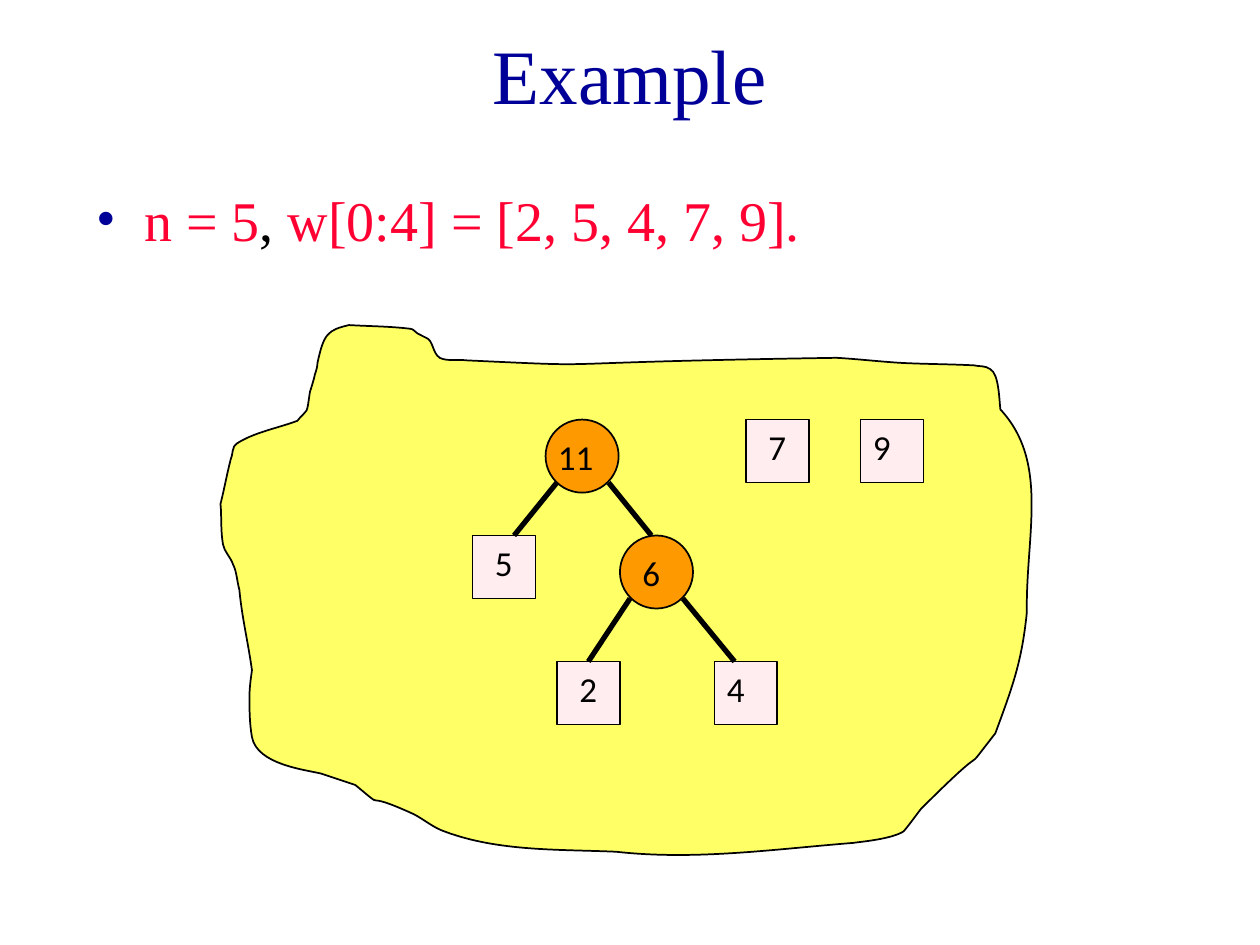
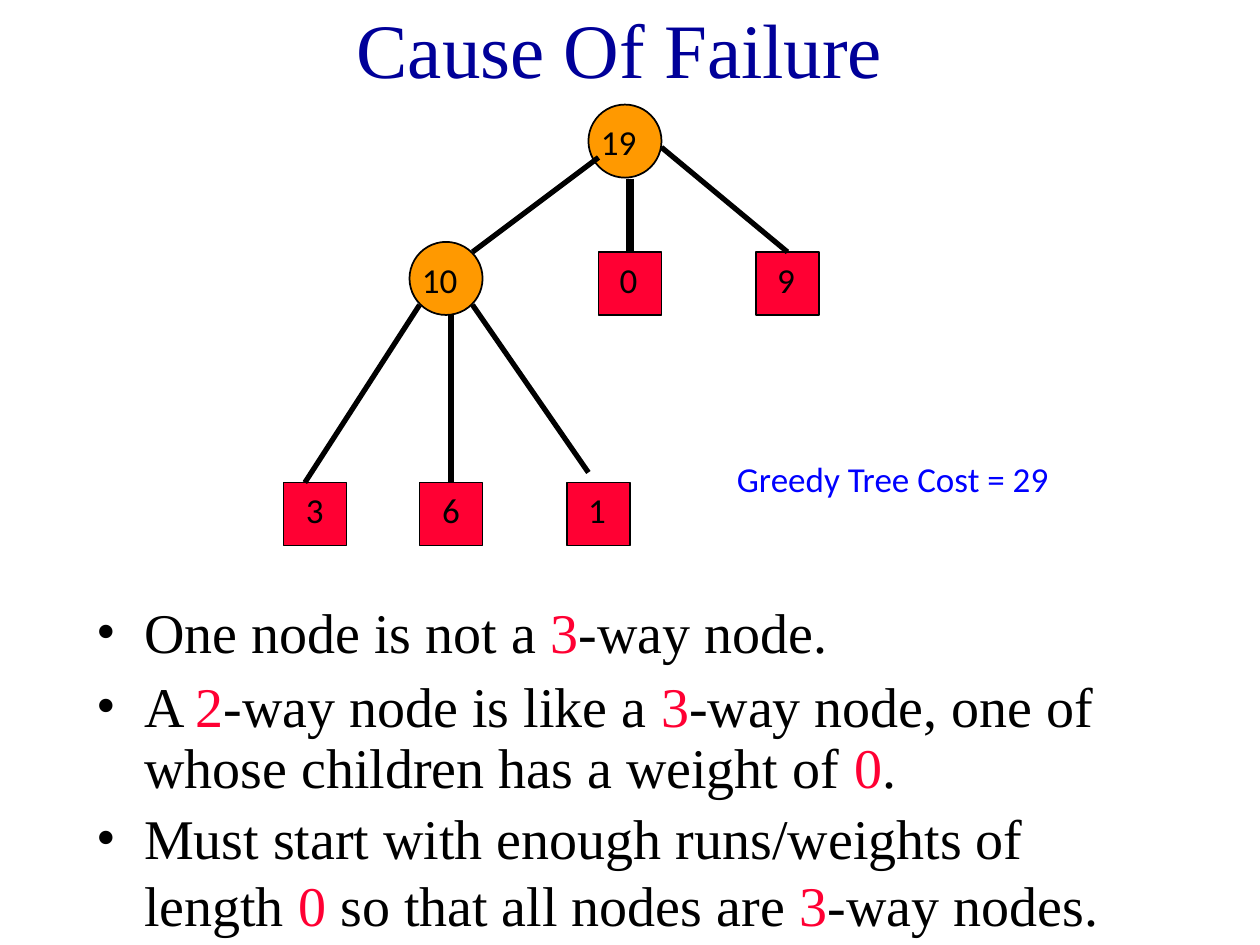
from lxml import etree
from pptx import Presentation
from pptx.dml.color import RGBColor
from pptx.enum.shapes import MSO_CONNECTOR, MSO_SHAPE
from pptx.enum.text import MSO_ANCHOR, PP_ALIGN
from pptx.oxml.ns import qn
from pptx.util import Inches, Pt

RECTANGLE, ELLIPSE = MSO_SHAPE.RECTANGLE, MSO_SHAPE.OVAL
STRAIGHT = MSO_CONNECTOR.STRAIGHT
TOP, MIDDLE = MSO_ANCHOR.TOP, MSO_ANCHOR.MIDDLE
LEFT, CENTER = PP_ALIGN.LEFT, PP_ALIGN.CENTER
TOP_SITE = 0

NAVY = RGBColor(0x00, 0x00, 0x99)
BLUE = RGBColor(0x00, 0x00, 0xFF)
RED = RGBColor(0xFF, 0x00, 0x33)
BLACK = RGBColor(0x00, 0x00, 0x00)
YELLOW = RGBColor(0xFF, 0xFF, 0x66)
PINK = RGBColor(0xFF, 0xED, 0xF0)
ORANGE = RGBColor(0xFF, 0x99, 0x00)

TITLE_FONT = {"name": "Times New Roman", "size": Pt(44)}
BULLET_FONT = {"name": "Times New Roman", "size": Pt(32)}
LABEL_FONT = {"name": "Calibri", "size": Pt(20)}

BULLET_INDENT = Pt(27)
LEAF_SIZE, NODE_SIZE = 0.5, 0.58
LABEL_HEIGHT = 0.44

# Outline of the cloud: a start point, then Bezier curves (two controls, end)
CLOUD_START = (2.36, 3.34)
CLOUD_CURVES = [
    (2.2, 3.4, 2.02, 3.43, 1.88, 3.52), (1.84, 3.54, 1.85, 3.61, 1.83, 3.65),
    (1.8, 3.77, 1.78, 3.88, 1.75, 4), (1.76, 4.1, 1.75, 4.21, 1.77, 4.32),
    (1.78, 4.38, 1.83, 4.42, 1.85, 4.48), (1.88, 4.54, 1.88, 4.61, 1.9, 4.68),
    (1.92, 4.9, 1.97, 5.1, 2, 5.32), (1.99, 5.39, 1.98, 5.46, 1.98, 5.53),
    (1.98, 5.63, 1.98, 5.74, 2, 5.85), (2.04, 6.07, 2.43, 6.11, 2.55, 6.14),
    (2.64, 6.17, 2.73, 6.2, 2.82, 6.23), (3.1, 6.46, 2.82, 6.25, 3.28, 6.46),
    (3.36, 6.5, 3.44, 6.57, 3.53, 6.6), (3.96, 6.76, 4.44, 6.74, 4.89, 6.76),
    (5.52, 6.83, 6.14, 6.74, 6.77, 6.69), (6.84, 6.68, 7.07, 6.66, 7.17, 6.6),
    (7.2, 6.57, 7.3, 6.43, 7.31, 6.42), (7.94, 5.79, 7.58, 6.23, 7.9, 5.82),
    (8.04, 5.44, 8.11, 5.25, 8.15, 4.86), (8.14, 4.25, 8.33, 3.67, 7.94, 3.25),
    (7.93, 3.18, 7.93, 2.97, 7.86, 2.93), (7.82, 2.9, 7.77, 2.91, 7.73, 2.9),
    (7.54, 2.89, 7.34, 2.89, 7.15, 2.88), (6.98, 2.87, 6.81, 2.85, 6.64, 2.84),
    (4.02, 2.88, 5, 2.92, 3.7, 2.86), (3.63, 2.85, 3.55, 2.87, 3.49, 2.84),
    (3.43, 2.8, 3.44, 2.7, 3.38, 2.68), (3.36, 2.67, 3.34, 2.66, 3.32, 2.65),
    (3.3, 2.64, 3.28, 2.61, 3.26, 2.61), (3.1, 2.59, 2.94, 2.59, 2.77, 2.58),
    (2.6, 2.62, 2.57, 2.65, 2.52, 2.88), (2.52, 2.91, 2.51, 2.94, 2.5, 2.97),
    (2.49, 3.02, 2.46, 3.11, 2.46, 3.11), (2.43, 3.31, 2.45, 3.23, 2.36, 3.34),
]

# Nodes and leaves: label, left, top, shift of the label
# Edges: from x, from y, to x, to y, joined leaf or None, width
# Bullets: *stars* enclose the red words
SLIDES = [
    {
        "title": "Example", "title_box": (0.75, 0, 8.5, 1.17),
        "cloud": True, "leaf_fill": PINK, "bullet_color": NAVY,
        "bullets": [
            ((0.67, 1.42, 8.5, 0.67), None,
             ["*n = 5*, *w[0:4] = [2, 5, 4, 7, 9].*"]),
        ],
        "nodes": [("11", 4.33, 3.33, 0), ("6", 4.92, 4.25, 0.08)],
        "leaves": [("7", 5.92, 3.33, 0.08), ("9", 6.83, 3.33, 0),
                   ("5", 3.75, 4.25, 0.08), ("2", 4.42, 5.25, 0.08),
                   ("4", 5.67, 5.25, 0)],
        "edges": [(4.42, 3.83, 4.08, 4.25, None, 3),
                  (4.83, 3.83, 5.17, 4.25, None, 3),
                  (5, 4.75, 4.67, 5.25, "2", 3),
                  (5.42, 4.75, 5.83, 5.25, None, 3)],
        "captions": [],
    },
    {
        "title": "Cause Of Failure", "title_box": (0.67, -0.25, 8.5, 1.25),
        "cloud": False, "leaf_fill": RED, "bullet_color": BLACK,
        "bullets": [
            ((0.67, 4.75, 8.5, 1.67), 0.9,
             ["One node is not a *3*-way node.",
              "A *2*-way node is like a *3*-way node, one of whose children "
              "has a weight of *0*."]),
            ((0.67, 6.33, 8.5, 1.25), None,
             ["Must start with enough runs/weights of length *0* so that all "
              "nodes are *3*-way nodes."]),
        ],
        "nodes": [("19", 4.67, 0.83, 0), ("10", 3.25, 1.92, 0)],
        "leaves": [("3", 2.25, 3.83, 0.08), ("6", 3.33, 3.83, 0.08),
                   ("1", 4.5, 3.83, 0.07), ("9", 6, 2, 0.07),
                   ("0", 4.75, 2, 0.07)],
        "edges": [(4.75, 1.25, 3.75, 2, None, 3),
                  (5, 1.42, 5, 2, "0", 4.5),
                  (5.25, 1.17, 6.25, 2, "9", 3),
                  (3.33, 2.42, 2.42, 3.83, None, 3),
                  (3.58, 2.5, 3.58, 3.83, "6", 3),
                  (3.75, 2.42, 4.67, 3.75, None, 3)],
        "captions": [("Greedy Tree Cost = 29", (5.75, 3.58, 3.75, 0.44))],
    },
]


def inches(values):
    return [Inches(value) for value in values]


def add_run(paragraph, text, font, color):
    run = paragraph.add_run()
    run.text = text
    for key, value in font.items():
        setattr(run.font, key, value)
    run.font.color.rgb = color


def add_frame(slide, box, anchor=TOP):
    frame = slide.shapes.add_textbox(*inches(box)).text_frame
    frame.word_wrap = True
    frame.vertical_anchor = anchor
    return frame


def add_text(slide, text, box, font, color, align=LEFT, anchor=TOP):
    paragraph = add_frame(slide, box, anchor).paragraphs[0]
    paragraph.alignment = align
    add_run(paragraph, text, font, color)


def add_bullets(slide, box, line_spacing, items, bullet_color):
    frame = add_frame(slide, box)
    for index, item in enumerate(items):
        paragraph = frame.add_paragraph() if index else frame.paragraphs[0]
        paragraph.space_before = Pt(8)
        paragraph.line_spacing = line_spacing
        for part, words in enumerate(item.split("*")):
            if words:
                add_run(paragraph, words, BULLET_FONT, RED if part % 2 else BLACK)
        # Bullet sign and hanging indent
        properties = paragraph._p.get_or_add_pPr()
        properties.set("marL", str(BULLET_INDENT))
        properties.set("indent", str(-BULLET_INDENT))
        color = etree.SubElement(properties, qn("a:buClr"))
        etree.SubElement(color, qn("a:srgbClr"), val=str(bullet_color))
        etree.SubElement(properties, qn("a:buFont"), typeface="Times New Roman")
        etree.SubElement(properties, qn("a:buChar"), char="•")


def paint(shape, fill):
    shape.shadow.inherit = False
    shape.fill.solid()
    shape.fill.fore_color.rgb = fill
    shape.line.color.rgb = BLACK
    shape.line.width = Pt(1)


def add_cloud(slide):
    builder = slide.shapes.build_freeform(*inches(CLOUD_START))
    builder.add_line_segments(
        [inches(curve[i:i + 2]) for curve in CLOUD_CURVES for i in (0, 2, 4)],
        close=True)
    cloud = builder.convert_to_shape()
    paint(cloud, YELLOW)
    # Join every three segments into one Bezier curve
    segments = list(cloud._element.iter(qn("a:lnTo")))
    for first in range(0, len(segments), 3):
        curve = etree.Element(qn("a:cubicBezTo"))
        segments[first].addprevious(curve)
        for segment in segments[first:first + 3]:
            curve.append(segment[0])
            segment.getparent().remove(segment)


def add_tree_part(slide, kind, part, size, fill, label_width, label_drop):
    label, left, top, shift = part
    shape = slide.shapes.add_shape(kind, *inches((left, top, size, size)))
    paint(shape, fill)
    label_box = (left + shift, top + label_drop, label_width, LABEL_HEIGHT)
    add_text(slide, label, label_box, LABEL_FONT, BLACK)
    return shape


def add_edge(slide, ends, leaf, width):
    edge = slide.shapes.add_connector(STRAIGHT, *inches(ends))
    edge.line.color.rgb = BLACK
    edge.line.width = Pt(width)
    etree.SubElement(edge._element.spPr, qn("a:effectLst"))
    if leaf is not None:
        edge.end_connect(leaf, TOP_SITE)


def build_slide(deck, content):
    slide = deck.slides.add_slide(deck.slide_layouts[6])
    if content["cloud"]:
        add_cloud(slide)

    # Title and bullets
    add_text(slide, content["title"], content["title_box"], TITLE_FONT, NAVY,
             CENTER, MIDDLE)
    for box, line_spacing, items in content["bullets"]:
        add_bullets(slide, box, line_spacing, items, content["bullet_color"])

    # Tree
    for node in content["nodes"]:
        add_tree_part(slide, ELLIPSE, node, NODE_SIZE, ORANGE, NODE_SIZE, 0.08)
    leaves = {
        leaf[0]: add_tree_part(slide, RECTANGLE, leaf, LEAF_SIZE,
                               content["leaf_fill"], 0.52, 0)
        for leaf in content["leaves"]
    }
    for *ends, leaf_label, width in content["edges"]:
        add_edge(slide, ends, leaves.get(leaf_label), width)

    for caption, box in content["captions"]:
        add_text(slide, caption, box, LABEL_FONT, BLUE)


def main():
    deck = Presentation()
    deck.slide_width, deck.slide_height = Inches(10), Inches(7.5)
    for content in SLIDES:
        build_slide(deck, content)
    deck.save("out.pptx")


if __name__ == "__main__":
    main()
